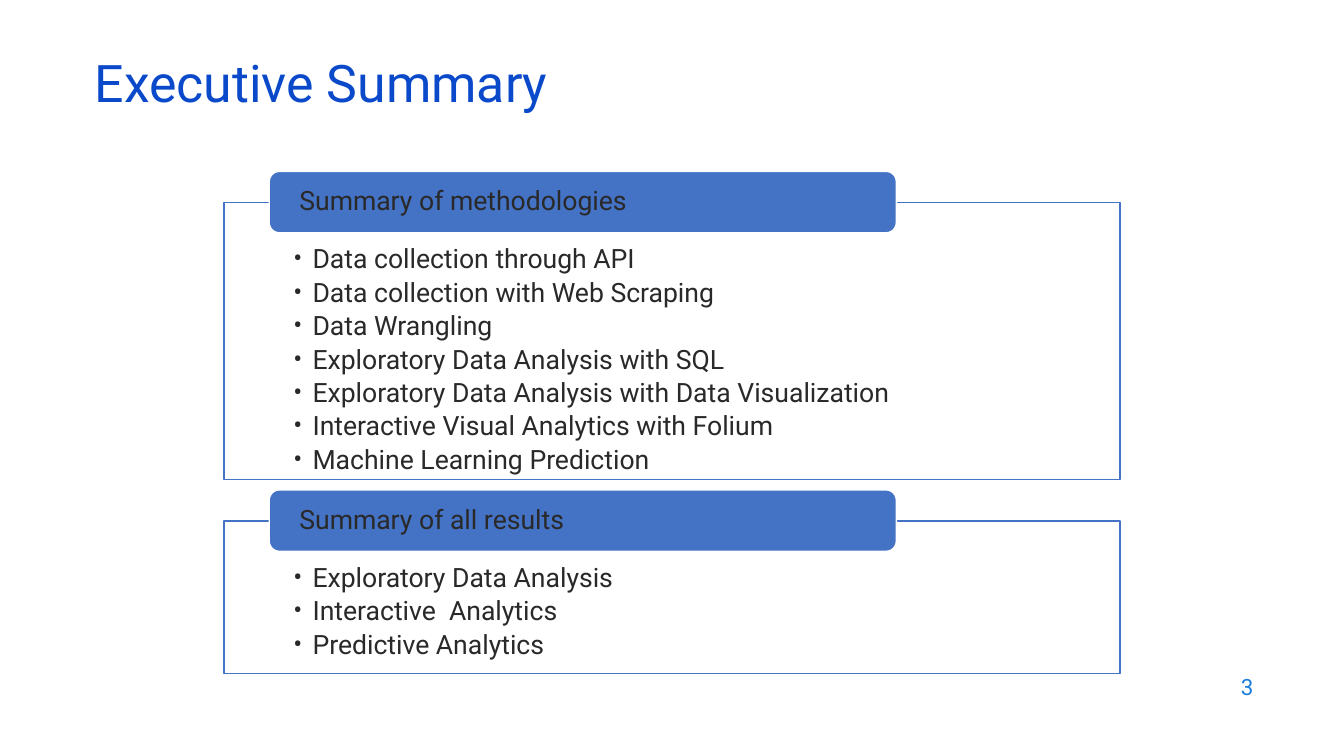
from lxml.etree import SubElement
from pptx import Presentation
from pptx.dml.color import RGBColor
from pptx.enum.shapes import MSO_SHAPE
from pptx.enum.text import MSO_ANCHOR, MSO_AUTO_SIZE, PP_ALIGN
from pptx.oxml.ns import qn
from pptx.util import Emu, Pt

PX = 9144  # 100 px to the inch
WHITE = RGBColor(0xFF, 0xFF, 0xFF)
INK = RGBColor(0x29, 0x29, 0x29)
ACCENT = RGBColor(0x44, 0x72, 0xC4)
TITLE_BLUE = RGBColor(0x0B, 0x49, 0xCB)
NUMBER_BLUE = RGBColor(0x1C, 0x7D, 0xDB)

SECTIONS = [
    ("Summary of methodologies", 201, 275, [
        "Data collection through API",
        "Data collection with Web Scraping",
        "Data Wrangling",
        "Exploratory Data Analysis with SQL",
        "Exploratory Data Analysis with Data Visualization",
        "Interactive Visual Analytics with Folium",
        "Machine Learning Prediction",
    ]),
    ("Summary of all results", 517, 151, [
        "Exploratory Data Analysis",
        "Interactive  Analytics",
        "Predictive Analytics",
    ]),
]


class SummarySlide:
    font_name = "Roboto"
    text_size = 19

    def __init__(self, slide):
        self.slide = slide

    def place(self, shape, left, top, width, height):
        shape.left, shape.top = Emu(left * PX), Emu(top * PX)
        shape.width, shape.height = Emu(width * PX), Emu(height * PX)

    def outline(self, shape, fill, line):
        shape.fill.solid()
        shape.fill.fore_color.rgb = fill
        shape.line.color.rgb = line
        shape.line.width = Pt(1)

    def set_text(self, shape, text, size, color, anchor=MSO_ANCHOR.MIDDLE,
                 align=PP_ALIGN.LEFT, spacing=1.0, insets=(10, 5, 10, 5)):
        frame = shape.text_frame
        frame.text = text
        frame.word_wrap = True
        frame.auto_size = MSO_AUTO_SIZE.NONE
        frame.vertical_anchor = anchor
        (frame.margin_left, frame.margin_top,
         frame.margin_right, frame.margin_bottom) = [Emu(i * PX) for i in insets]
        for paragraph in frame.paragraphs:
            paragraph.alignment = align
            paragraph.line_spacing = spacing
            paragraph.space_before = Pt(0)
            for run in paragraph.runs:
                run.font.name = self.font_name
                run.font.size = Pt(size)
                run.font.color.rgb = color

    def title(self, text):
        heading = self.slide.shapes.title
        self.place(heading, 84, 59, 1150, 60)
        self.set_text(heading, text, 37, TITLE_BLUE, spacing=0.7)

    def bullet_list(self, body, items, top, height):
        self.place(body, 222, top, 889, height)
        self.outline(body, WHITE, ACCENT)
        self.set_text(body, "\n".join(items), self.text_size, INK,
                      MSO_ANCHOR.TOP, spacing=0.9, insets=(69, 43, 69, 15))
        for item in body.text_frame.paragraphs:
            item.level = 1
            item.space_after = Pt(3.34)
            properties = item._p.get_or_add_pPr()
            properties.set("marL", str(19 * PX))
            properties.set("indent", str(-19 * PX))
            SubElement(properties, qn("a:buFont"), typeface=self.font_name)
            SubElement(properties, qn("a:buChar"), char="•")

    def header(self, text, top):
        banner = self.slide.shapes.add_shape(MSO_SHAPE.ROUNDED_RECTANGLE, 0, 0, 0, 0)
        self.place(banner, 267, top, 622, 61)
        banner.shadow.inherit = False
        self.outline(banner, ACCENT, WHITE)
        self.set_text(banner, text, self.text_size, INK, spacing=0.9,
                      insets=(27, 0, 27, 0))

    def page_number(self, text):
        number = self.slide.shapes.add_textbox(0, 0, 0, 0)
        self.place(number, 953, 659, 300, 44)
        self.set_text(number, text, 16, NUMBER_BLUE, align=PP_ALIGN.RIGHT)


def main():
    deck = Presentation()
    deck.slide_width, deck.slide_height = Emu(1333 * PX), Emu(750 * PX)
    two_content = deck.slide_layouts[3]
    summary = SummarySlide(deck.slides.add_slide(two_content))

    # Title and page number
    summary.title("Executive Summary")
    summary.page_number("3")

    # Framed lists, each with a header across its top edge
    bodies = [summary.slide.placeholders[1], summary.slide.placeholders[2]]
    for body, (heading, top, height, items) in zip(bodies, SECTIONS):
        summary.bullet_list(body, items, top, height)
        summary.header(heading, top - 31)

    deck.save("out.pptx")


if __name__ == "__main__":
    main()
